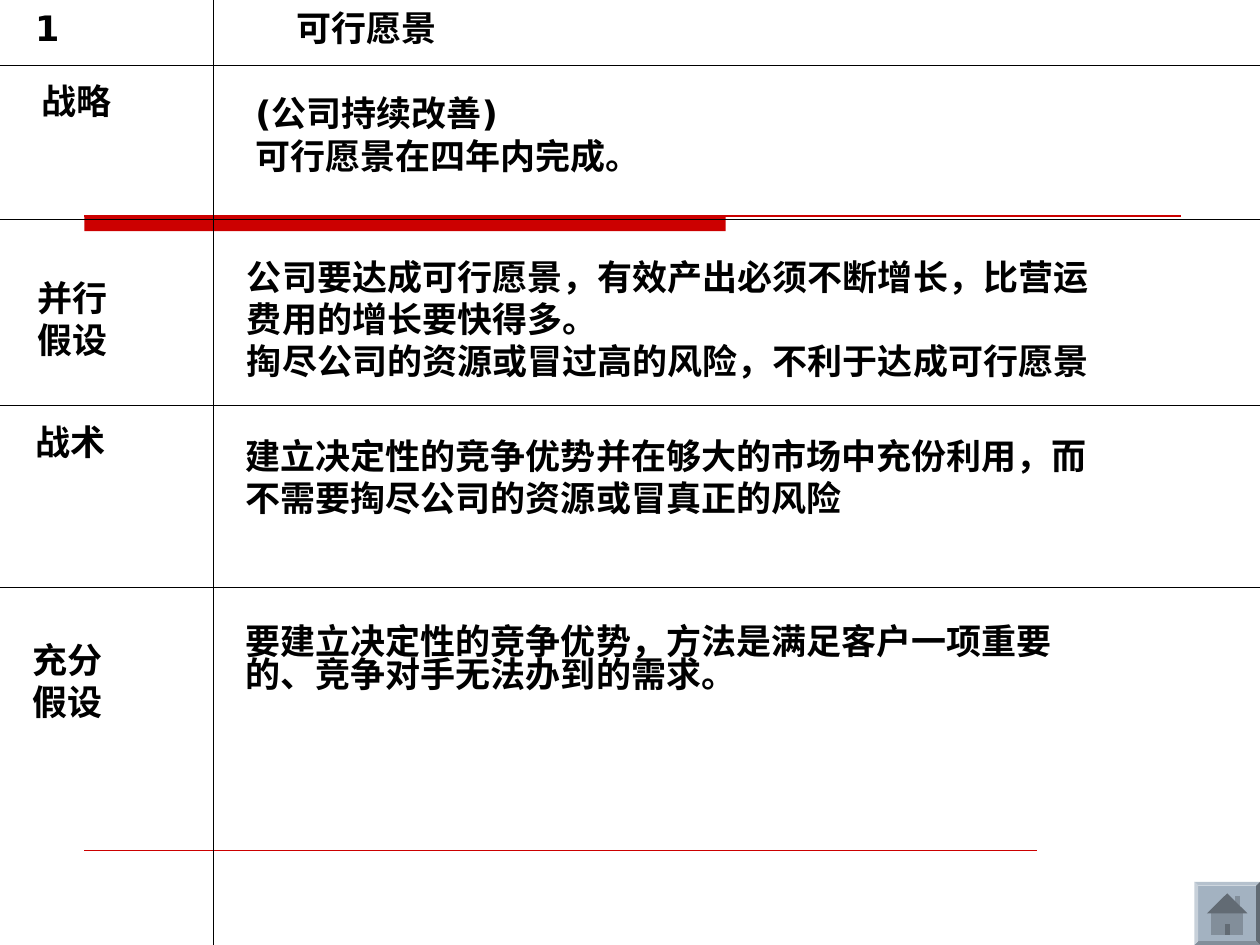
from dataclasses import dataclass
from lxml import etree
from pptx import Presentation
from pptx.dml.color import RGBColor
from pptx.enum import shapes, text
from pptx.oxml import ns
from pptx.util import Cm, Pt


@dataclass(frozen=True)
class Theme:
    """Hold the colours, font and sizes of the slide."""
    font: str = "DejaVu Sans"
    size: float = 20
    rule: float = 0.75
    bold: float = 1
    hair: float = 0.25
    ink: str = "000000"
    red: str = "CC0000"
    key: str = "A3B2C1"
    wall: str = "828E9A"
    roof: str = "626B74"


T = Theme()
WIDE, HIGH, SPLIT = 25.4, 19.05, 4.3
ROWS = [
    (1.32, 3.1, (0.58, 0.15, 1.93, 1.09), ["战略"],
     (4.9, 0.41, 16.61, 1.96), ["(公司持续改善)", "可行愿景在四年内完成。"], 1),
    (4.42, 3.76, (0.51, 1.02, 2.79, 1.96), ["并行", "假设"],
     (4.73, 0.61, 18.08, 2.79),
     ["公司要达成可行愿景，有效产出必须不断增长，比营运费用的增长要快得多。",
      "掏尽公司的资源或冒过高的风险，不利于达成可行愿景"], 1),
    (8.18, 3.66, (0.46, 0.18, 1.93, 1.09), ["战术"],
     (4.7, 0.46, 18.01, 1.96),
     ["建立决定性的竞争优势并在够大的市场中充份利用，而不需要掏尽公司的资源或冒真正的风险"], 1),
    (11.84, 7.21, (0.41, 0.91, 2.11, 1.96), ["充分假设"],
     (4.7, 0.68, 17.3, 1.6),
     ["要建立决定性的竞争优势，方法是满足客户一项重要的、竞争对手无法办到的需求。"], 0.8),
]


def line(slide, x1, y1, x2, y2, color=T.ink, width=T.rule):
    """Draw a straight line without a shadow."""
    rule = slide.shapes.add_connector(
        shapes.MSO_CONNECTOR.STRAIGHT, Cm(x1), Cm(y1), Cm(x2), Cm(y2))
    rule.line.color.rgb = RGBColor.from_string(color)
    rule.line.width = Pt(width)
    etree.SubElement(rule._element.spPr, ns.qn("a:effectLst"))


def paint(shape, color):
    """Give a shape a flat fill without line or shadow."""
    shape.shadow.inherit = False
    shape.fill.solid()
    shape.fill.fore_color.rgb = RGBColor.from_string(color)
    shape.line.fill.background()


def write(shape, lines, gap=1):
    """Fill a text shape with bold left-aligned paragraphs."""
    frame = shape.text_frame
    frame.word_wrap = True
    frame.auto_size = text.MSO_AUTO_SIZE.SHAPE_TO_FIT_TEXT
    frame.vertical_anchor = text.MSO_ANCHOR.TOP
    for i, words in enumerate(lines):
        para = frame.add_paragraph() if i else frame.paragraphs[0]
        para.alignment = text.PP_ALIGN.LEFT
        para.line_spacing = gap
        run = para.add_run()
        run.text = words
        font = run.font
        font.name, font.size, font.bold = T.font, Pt(T.size), True
        font.color.rgb = RGBColor.from_string(T.ink)
        east = etree.SubElement(run._r.get_or_add_rPr(), ns.qn("a:ea"))
        east.set("typeface", T.font)


def label(slide, x, y, w, h, lines, gap=1):
    """Add a text box at the given place."""
    write(slide.shapes.add_textbox(Cm(x), Cm(y), Cm(w), Cm(h)), lines, gap)


def decor(slide, x, y, w):
    """Draw the red accent bar and the thin foot rule."""
    bar = slide.shapes.add_shape(
        shapes.MSO_SHAPE.RECTANGLE, Cm(x), Cm(y), Cm(12.93), Cm(0.31))
    paint(bar, T.red)
    line(slide, x, y, x + w, y, T.red, T.bold)
    line(slide, x, y + 12.78, x + 19.2, y + 12.78, T.red, T.hair)


def header(slide, x, y, w, h):
    """Place the number, the title and the rule below them."""
    label(slide, x + 0.46, y, 3.3, 1.09, ["1"])
    title = slide.shapes.title
    title.left, title.top = Cm(x + 5.72), Cm(y)
    title.width, title.height = Cm(4), Cm(1.09)
    write(title, ["可行愿景"])
    line(slide, x, y + h, x + w, y + h)


def row(slide, y, h, head, names, body, lines, gap):
    """Place one row with its label, its text and its lower rule."""
    for (x, top, w, high), words, space in ((head, names, 1), (body, lines, gap)):
        label(slide, x, y + top, w, high, words, space)
    if y + h < HIGH:
        line(slide, 0, y + h, WIDE, y + h)


def home(slide, x, y, w, h):
    """Draw the bevelled home button in the given box."""
    key = slide.shapes.add_shape(
        shapes.MSO_SHAPE.BEVEL, Cm(x), Cm(y), Cm(w), Cm(h))
    key.adjustments[0] = 0.06
    paint(key, T.key)
    parts = [
        (T.wall, [(0.62, 0.22), (0.7, 0.22), (0.7, 0.5), (0.62, 0.5)]),
        (T.wall, [(0.26, 0.5), (0.74, 0.5), (0.74, 0.84), (0.26, 0.84)]),
        (T.roof, [(0.5, 0.18), (0.81, 0.5), (0.19, 0.5)]),
        (T.roof, [(0.46, 0.66), (0.54, 0.66), (0.54, 0.84), (0.46, 0.84)]),
    ]
    for color, spots in parts:
        ends = [(Cm(x + a * w), Cm(y + b * h)) for a, b in spots]
        pen = slide.shapes.build_freeform(*ends[0])
        pen.add_line_segments(ends[1:], close=True)
        paint(pen.convert_to_shape(), color)


def main():
    """Build and save the slide."""
    deck = Presentation()
    deck.slide_width, deck.slide_height = Cm(WIDE), Cm(HIGH)
    slide = deck.slides.add_slide(deck.slide_layouts[5])
    decor(slide, 1.7, 4.35, 22.1)
    header(slide, 0, 0, WIDE, 1.32)
    for item in ROWS:
        row(slide, *item)
    line(slide, SPLIT, 0, SPLIT, HIGH)
    home(slide, 24.08, 17.78, 1.32, 1.27)
    deck.save("out.pptx")


if __name__ == "__main__":
    main()
